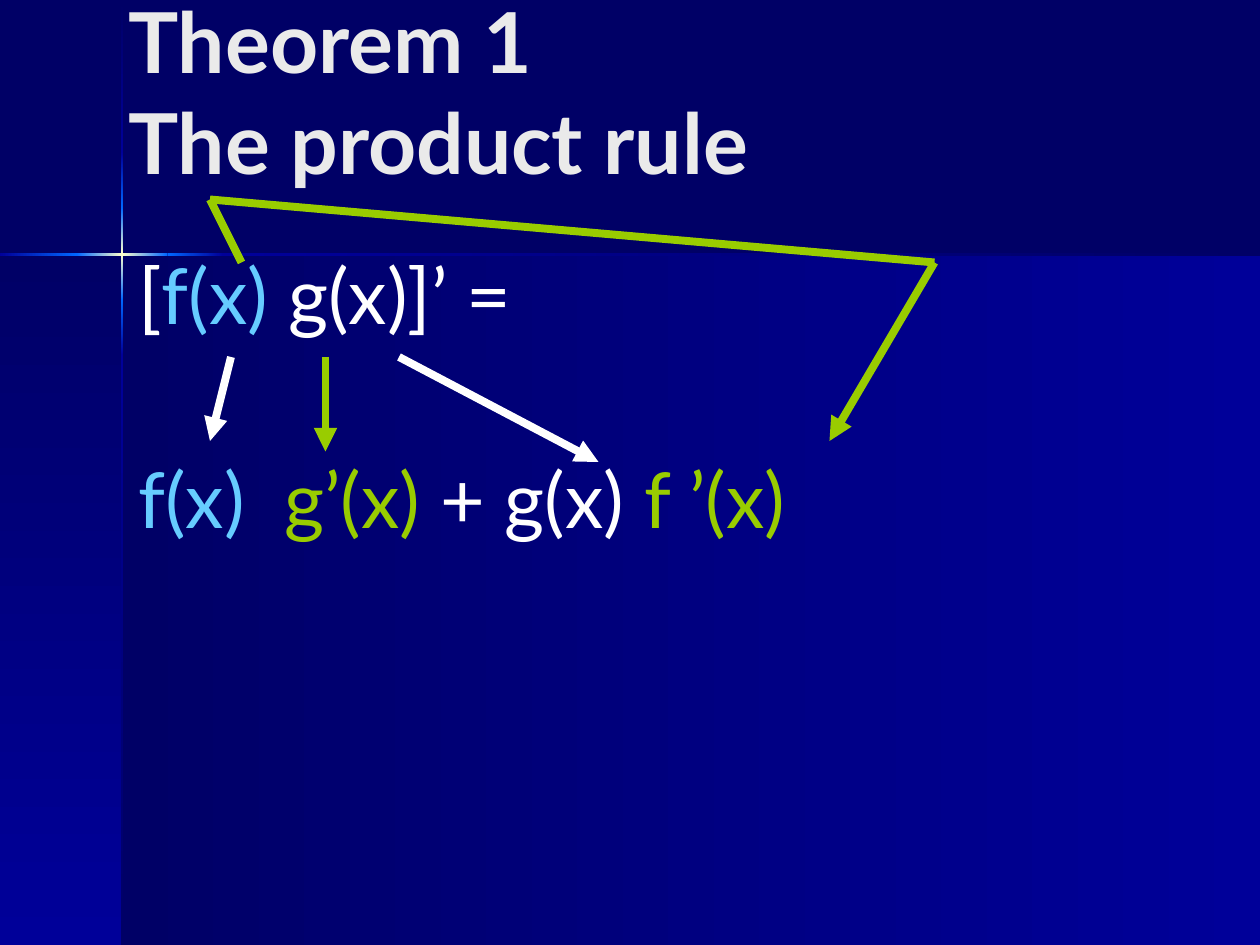
from itertools import pairwise

from lxml import etree
from pptx import Presentation
from pptx import util as u
from pptx.dml.color import RGBColor
from pptx.enum import shapes, text
from pptx.oxml import parse_xml
from pptx.oxml.ns import nsdecls, qn

COLORS = {
    "night": "000066", "navy": "000099", "blue": "0066FF", "glow": "FFFFCC",
    "title": "EAEAEA", "white": "FFFFFF", "sky": "66CCFF", "green": "99CC00",
}
FONT = "Lato"
UNIT = u.Inches(1) // 12  # twelve grid steps to the inch

prs = Presentation()
prs.slide_width, prs.slide_height = u.Inches(10), u.Inches(7.5)
slide = prs.slides.add_slide(prs.slide_layouts[6])
slide.background.fill.solid()
slide.background.fill.fore_color.rgb = RGBColor.from_string(COLORS["night"])


def gradient_box(left, top, right, bottom, names, angle):
    """Add a borderless rectangle with evenly spaced gradient stops; angle is clockwise."""
    x, y, r, b = (u.Inches(v) for v in (left, top, right, bottom))
    sp = slide.shapes.add_shape(shapes.MSO_SHAPE.RECTANGLE, x, y, r - x, b - y)
    sp.shadow.inherit = False
    sp.line.fill.background()
    stops = "".join(
        f'<a:gs pos="{i * 100000 // (len(names) - 1)}"><a:srgbClr val="{COLORS[n]}"/></a:gs>'
        for i, n in enumerate(names))
    sp._element.spPr.find(qn("a:prstGeom")).addnext(parse_xml(
        f'<a:gradFill {nsdecls("a")}><a:gsLst>{stops}</a:gsLst>'
        f'<a:lin ang="{angle * 60000}" scaled="0"/></a:gradFill>'))


def add_text(left, top, width, height, anchor):
    tf = slide.shapes.add_textbox(*(u.Inches(v) for v in (left, top, width, height))).text_frame
    tf.word_wrap = True
    tf.vertical_anchor = anchor
    return tf


# Background panels
gradient_box(0.97, 2.02, 10, 7.5, ["night", "navy"], 0)
gradient_box(0, 2.02, 0.97, 7.5, ["night", "navy"], 90)

# Shining cross: consecutive segments of one vertical and one horizontal bar
segments = [["night", "navy"], ["navy", "blue"], ["blue", "glow", "blue"],
            ["blue", "navy"], ["navy", "night"]]
for (top, bottom), names in zip(pairwise([0.01, 1.21, 1.65, 2.38, 2.82, 7.5]), segments):
    gradient_box(0.96, top, 0.98, bottom, names, 90)
for (left, right), names in zip(pairwise([0, 0.61, 1.33, 1.77, 10]), segments[1:]):
    gradient_box(left, 2.01, right, 2.03, names, 0)

# Title
p = add_text(0.92, 0, 8.83, 1.57, text.MSO_ANCHOR.BOTTOM).paragraphs[0]
p.text = "Theorem 1\vThe product rule"
p.font.name, p.font.size, p.font.bold = FONT, u.Pt(48), True
p.font.color.rgb = RGBColor.from_string(COLORS["title"])

# Formula
formula = [
    [("[", "white"), ("f(x)", "sky"), (" g(x)]’ =", "white")],
    [("f(x)\t", "sky"), ("g’(x)", "green"), (" + g(x) ", "white"), ("f ’(x)", "green")],
]
tf = add_text(1, 2, 8.33, 2.58, text.MSO_ANCHOR.TOP)
for i, runs in enumerate(formula):
    p = tf.paragraphs[0] if i == 0 else tf.add_paragraph()
    p.line_spacing = 0.9
    if i:
        p.space_before = u.Pt(69)
        tabs = etree.SubElement(p._p.get_or_add_pPr(), qn("a:tabLst"))
        etree.SubElement(tabs, qn("a:tab"), pos=str(u.Inches(1.16)), algn="l")
    p.font.name, p.font.size = FONT, u.Pt(44)
    for words, color in runs:
        r = p.add_run()
        r.text = words
        r.font.color.rgb = RGBColor.from_string(COLORS[color])

# Arrows between the factors, in grid steps: start, end, colour, arrowhead
arrows = [
    ((22, 34), (20, 42), "white", True),
    ((38, 34), (57, 44), "white", True),
    ((31, 34), (31, 43), "green", True),
    ((20, 19), (23, 25), "green", False),
    ((89, 25), (79, 42), "green", True),
    ((20, 19), (89, 25), "green", False),
]
for start, end, color, has_head in arrows:
    line = slide.shapes.add_connector(
        shapes.MSO_CONNECTOR.STRAIGHT, *(v * UNIT for v in start + end))
    line.line.width = u.Pt(4.5)
    line.line.color.rgb = RGBColor.from_string(COLORS[color])
    if has_head:
        etree.SubElement(line.line._get_or_add_ln(), qn("a:tailEnd"), type="triangle")
    etree.SubElement(line._element.spPr, qn("a:effectLst"))

prs.save("out.pptx")
